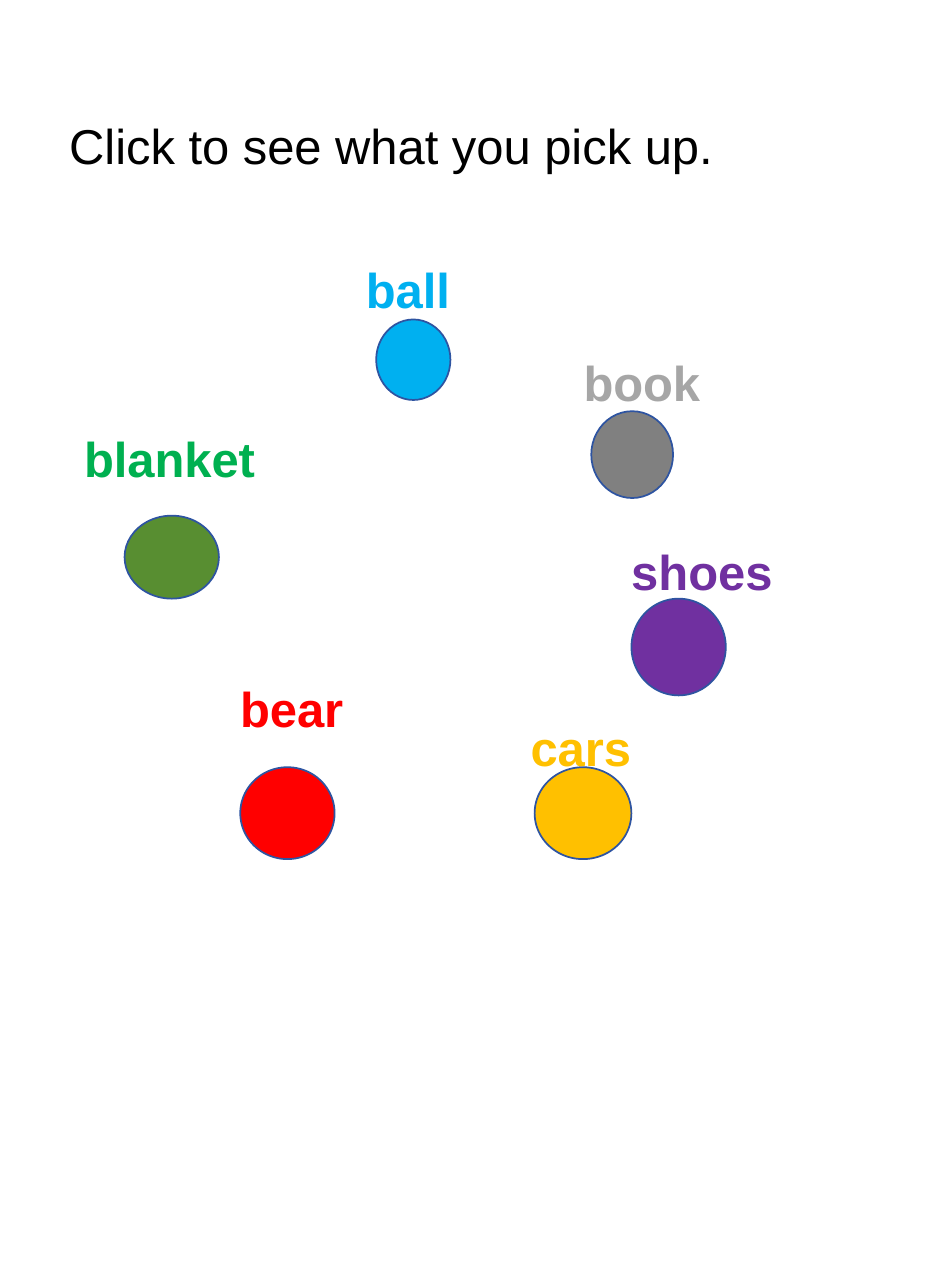
from pptx import Presentation
from pptx.dml.color import RGBColor
from pptx.enum import shapes, text
from pptx.util import Pt

# word, label colour, label box, circle colour, circle box (left, top, width, height)
TOYS = [
    ("ball", "00B0F0", (202.3, 143.3, 63.4, 35.3), "00B0F0", (215.3, 182.9, 42.5, 46.1)),
    ("book", "A6A6A6", (326.9, 196.6, 89.3, 31.7), "808080", (338.4, 235.4, 46.8, 49.7)),
    ("shoes", "7030A0", (354.2, 304.6, 128.9, 38.2), "7030A0", (361.4, 342.7, 54, 55.4)),
    ("cars", "FFC000", (296.6, 405.4, 88.6, 34.6), "FFC000", (306, 439.2, 55.4, 52.6)),
    ("bear", "FF0000", (130.3, 383, 95, 34.6), "FF0000", (137.5, 439.2, 54, 52.6)),
    ("blanket", "00B050", (41, 239.8, 129, 45.4), "588E31", (71.3, 295.2, 54, 47.5)),
]


def colour(value):
    return RGBColor.from_string(value)


class ToySlide:
    font_name = "Arial"
    font_size = 28
    outline = "2E54A1"

    def __init__(self, presentation):
        self.slide = presentation.slides.add_slide(presentation.slide_layouts[5])

    def set_text(self, shape, words, hue, bold):
        """Put one left-aligned line of text at the top of a shape."""
        frame = shape.text_frame
        frame.text = words
        frame.word_wrap = True
        frame.auto_size = text.MSO_AUTO_SIZE.NONE
        frame.vertical_anchor = text.MSO_ANCHOR.TOP
        frame.margin_top = Pt(5.5)
        paragraph = frame.paragraphs[0]
        paragraph.alignment = text.PP_ALIGN.LEFT
        font = paragraph.font
        font.name, font.size, font.bold = self.font_name, Pt(self.font_size), bold
        font.color.rgb = colour(hue)

    def title(self, words, box):
        shape = self.slide.shapes.title
        shape.left, shape.top, shape.width, shape.height = map(Pt, box)
        self.set_text(shape, words, "000000", False)

    def label(self, words, hue, box):
        self.set_text(self.slide.shapes.add_textbox(*map(Pt, box)), words, hue, True)

    def circle(self, hue, box):
        shape = self.slide.shapes.add_shape(shapes.MSO_SHAPE.OVAL, *map(Pt, box))
        shape.shadow.inherit = False
        shape.fill.solid()
        shape.fill.fore_color.rgb = colour(hue)
        shape.line.color.rgb = colour(self.outline)
        shape.line.width = Pt(1)


def main():
    presentation = Presentation()
    presentation.slide_width, presentation.slide_height = Pt(538.56), Pt(737.28)
    toy_slide = ToySlide(presentation)
    toy_slide.title("Click to see what you pick up.", (32.4, 60.5, 403.9, 79.2))
    for word, label_hue, label_box, circle_hue, circle_box in TOYS:
        toy_slide.circle(circle_hue, circle_box)
        toy_slide.label(word, label_hue, label_box)
    presentation.save("out.pptx")


if __name__ == "__main__":
    main()
